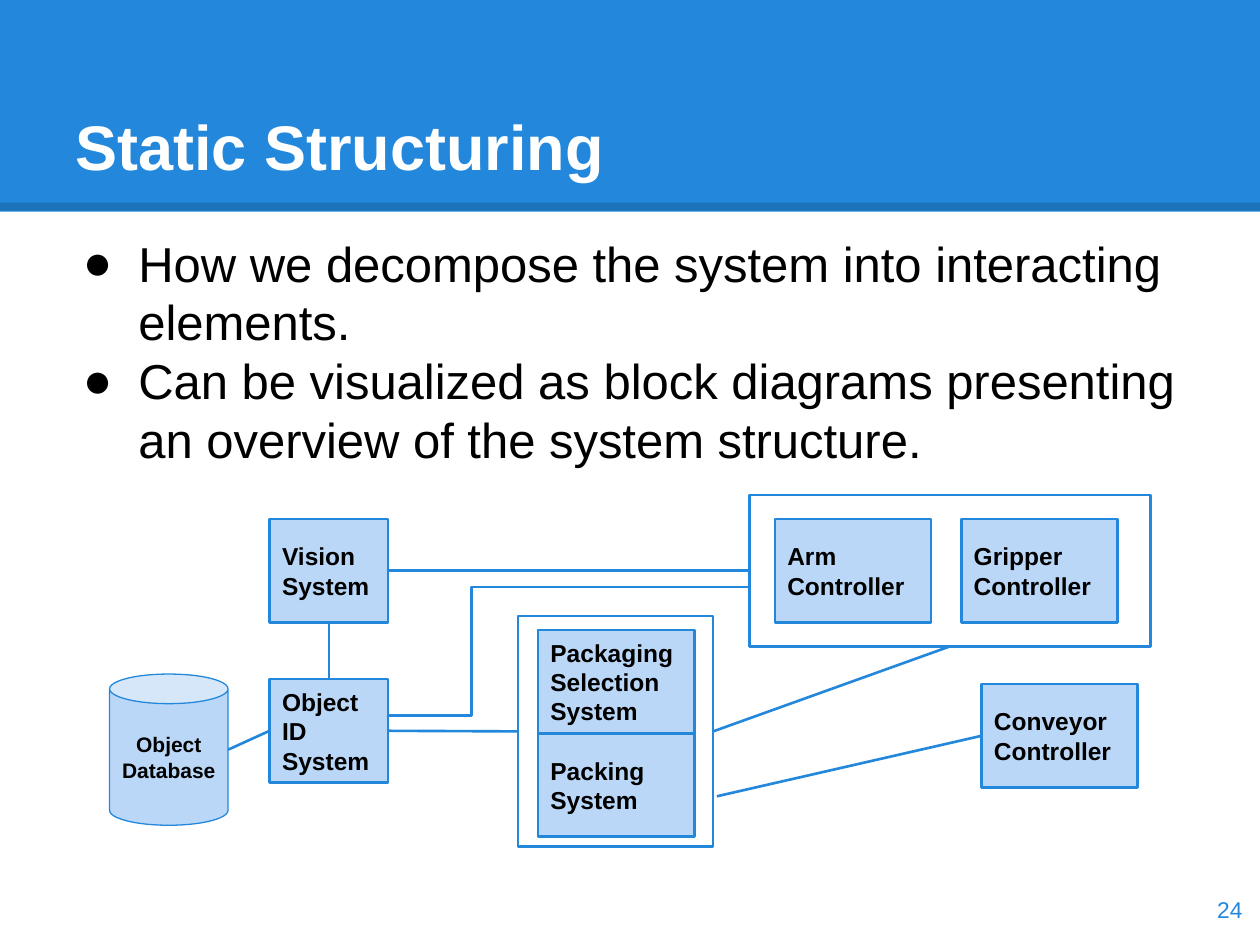
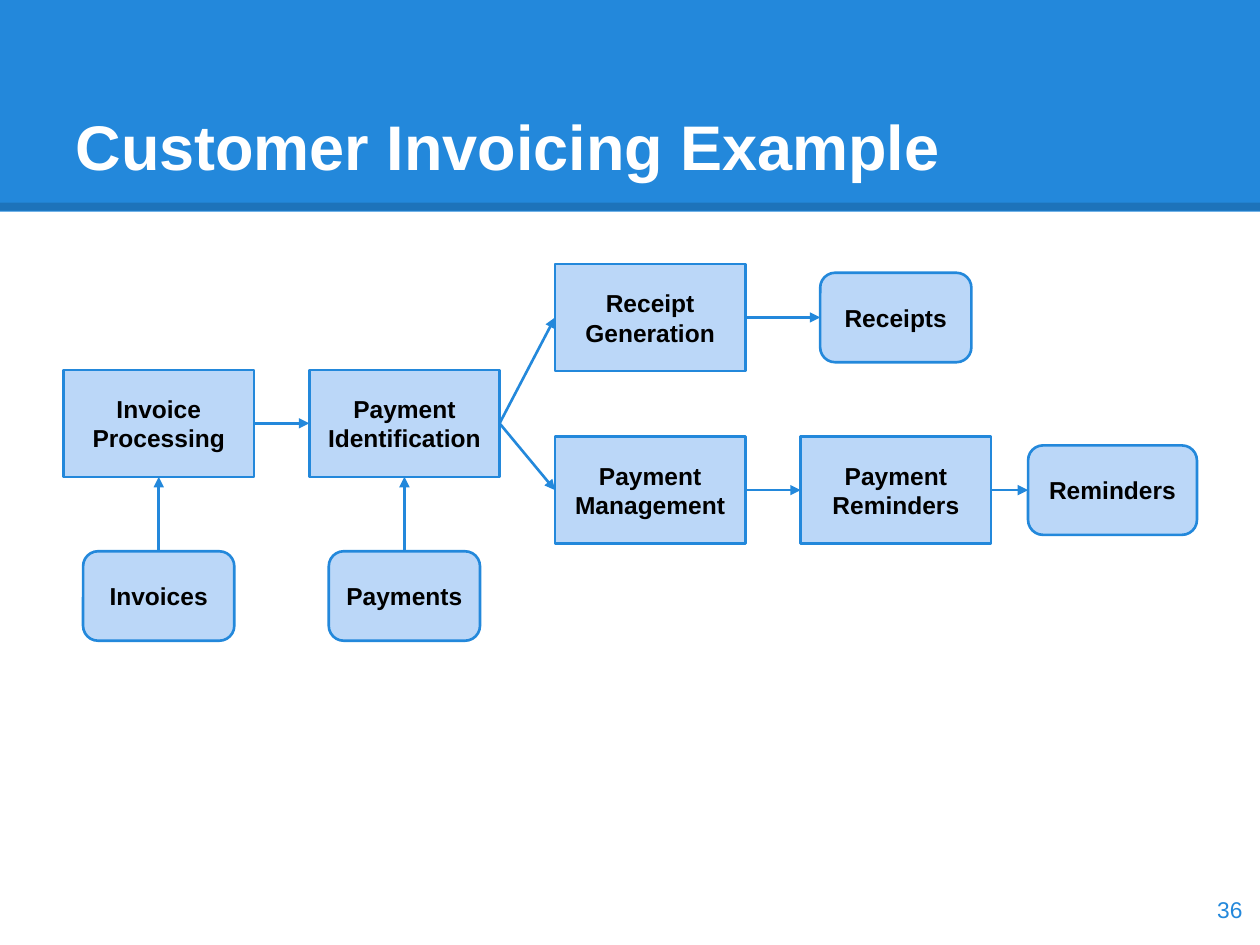
from lxml import etree
from pptx import Presentation
from pptx import util as u
from pptx.dml.color import RGBColor
from pptx.enum import shapes, text
from pptx.oxml.ns import qn

COLORS = {"blue": "2388DB", "pale": "BBD7F8", "black": "000000", "white": "FFFFFF"}
FONT = "Arial"
COLUMNS, ROWS = 10, 7.5
TOP, LEFT, BOTTOM, RIGHT = range(4)
KIND = shapes.MSO_SHAPE
ALIGN = text.PP_ALIGN
ANCHOR = text.MSO_ANCHOR


def rgb(name):
    return RGBColor.from_string(COLORS[name])


def add_xml(parent, tag, **attributes):
    return etree.SubElement(parent, qn(tag), attributes)


def write(box, *lines, size=14, color="black", bold=False, align=ALIGN.LEFT,
          anchor=ANCHOR.MIDDLE, bullet=None):
    """Fill a box with one paragraph per line of text."""
    frame = box.text_frame
    frame.word_wrap = True
    frame.auto_size = text.MSO_AUTO_SIZE.NONE
    frame.vertical_anchor = anchor
    frame.margin_left = frame.margin_right = u.Inches(0.1)
    frame.margin_top = frame.margin_bottom = u.Inches(0.1)
    for index, line in enumerate(lines):
        para = frame.add_paragraph() if index else frame.paragraphs[0]
        para.alignment = align
        if bullet:
            layout = para._p.get_or_add_pPr()
            layout.set("marL", str(u.Inches(0.5)))
            layout.set("indent", str(u.Inches(-0.44)))
            add_xml(layout, "a:buFont", typeface=FONT)
            add_xml(layout, "a:buChar", char=bullet)
        span = para.add_run()
        span.text = line
        font = span.font
        font.name, font.size, font.bold = FONT, u.Pt(size), bold
        font.color.rgb = rgb(color)


class Painter:
    """Holds the deck, its style and the current slide."""

    def __init__(self):
        self.deck = Presentation()
        self.deck.slide_width, self.deck.slide_height = u.Inches(10), u.Inches(7.5)
        self.layout = self.deck.slide_layouts[5]
        self.page = None

    def x(self, columns):
        return round(self.deck.slide_width * columns / COLUMNS)

    def y(self, rows):
        return round(self.deck.slide_height * rows / ROWS)

    def area(self, left, top, width, height):
        return self.x(left), self.y(top), self.x(width), self.y(height)

    def start(self, title, number):
        first = self.page is None
        self.page = self.deck.slides.add_slide(self.layout)
        if first:
            self.header()
        box = self.page.shapes.title
        box.left, box.top, box.width, box.height = self.area(0.5, 0.3, 9, 1.25)
        write(box, title, size=36, color="white", bold=True, anchor=ANCHOR.BOTTOM)
        self.note((9.36, 6.93, 0.6, 0.57), str(number), size=13, color="blue",
                  align=ALIGN.RIGHT)

    def header(self):
        """Draw the band and its shaded edge, and hand them to the layout."""
        band = self.box((0, 0, COLUMNS, 1.68), fill="blue", line=None)
        edge = self.link((0, 1.64), (COLUMNS, 1.64), color="black", width=4.5)
        shade = edge.element.find(".//" + qn("a:srgbClr"))
        add_xml(shade, "a:alpha", val="15000")
        for index, part in enumerate((band, edge)):
            part.element.find(".//" + qn("p:cNvPr")).set("id", str(101 + index))
            self.layout.shapes.element.insert(2 + index, part.element)

    def note(self, area, *lines, **style):
        box = self.page.shapes.add_textbox(*self.area(*area))
        write(box, *lines, **style)

    def box(self, area, label=None, kind=KIND.RECTANGLE, fill="pale", line="blue",
            width=1.5, **style):
        box = self.page.shapes.add_shape(kind, *self.area(*area))
        box.shadow.inherit = False
        if fill:
            box.fill.solid()
            box.fill.fore_color.rgb = rgb(fill)
        else:
            box.fill.background()
        if line:
            box.line.color.rgb = rgb(line)
            box.line.width = u.Pt(width)
        else:
            box.line.fill.background()
        if label:
            write(box, label, bold=True, **style)
        return box

    def link(self, start, end, color="blue", width=1.5, arrow=False, bend=None):
        """Join two ends, each a (shape, side) pair or a (column, row) point."""
        kind = shapes.MSO_CONNECTOR.STRAIGHT if bend is None else shapes.MSO_CONNECTOR.ELBOW
        points = [(0, 0) if hasattr(place, "shape_id") else (self.x(place), self.y(side))
                  for place, side in (start, end)]
        line = self.page.shapes.add_connector(kind, *points[0], *points[1])
        for (place, side), join in ((start, line.begin_connect), (end, line.end_connect)):
            if hasattr(place, "shape_id"):
                join(place, side)
        line.line.color.rgb = rgb(color)
        line.line.width = u.Pt(width)
        if arrow:
            add_xml(line.line._get_or_add_ln(), "a:tailEnd", type="triangle")
        if bend is not None:
            guides = line.element.find(".//" + qn("a:avLst"))
            add_xml(guides, "a:gd", name="adj1", fmla=f"val {round(bend * 100000)}")
        add_xml(line.element.spPr, "a:effectLst")
        return line


def static_structuring(paint):
    paint.start("Static Structuring", 24)
    paint.note((0.5, 1.75, 9, 1.98),
               "How we decompose the system into interacting elements.",
               "Can be visualized as block diagrams presenting an overview of the "
               "system structure.",
               size=28, anchor=ANCHOR.TOP, bullet="●")

    # Frames around the subsystems
    controllers = paint.box((5.95, 3.93, 3.18, 1.2), fill=None)
    packaging = paint.box((4.11, 4.89, 1.55, 1.83), fill=None)

    # Blocks: narrow ones on the left, wide ones elsewhere
    narrow, wide, height = 0.94, 1.24, 0.82
    blocks = {
        label: paint.box((left, top, width, height), label)
        for label, left, top, width in (
            ("Vision System", 2.14, 4.12, narrow),
            ("Object ID System", 2.14, 5.39, narrow),
            ("Arm Controller", 6.15, 4.12, wide),
            ("Gripper Controller", 7.63, 4.12, wide),
            ("Packaging Selection System", 4.27, 5, wide),
            ("Packing System", 4.27, 5 + height, wide),
            ("Conveyor Controller", 7.79, 5.43, wide))}
    paint.box((0.87, 5.35, narrow, 1.2), "Object Database", kind=KIND.CAN,
              width=0.75, size=12, align=ALIGN.CENTER)

    # Links
    vision, identity = blocks["Vision System"], blocks["Object ID System"]
    for start, end in (
            ((vision, BOTTOM), (identity, TOP)),
            ((vision, RIGHT), (controllers, LEFT)),
            ((identity, RIGHT), (packaging, LEFT)),
            ((controllers, BOTTOM), (packaging, RIGHT)),
            ((5.69, 6.32), (blocks["Conveyor Controller"], LEFT)),
            ((1.81, 5.95), (identity, LEFT))):
        paint.link(start, end)
    paint.link((3.09, 5.68), (5.94, 4.66), bend=0.228)


def customer_invoicing(paint):
    paint.start("Customer Invoicing Example", 36)

    # Centres of the columns and rows
    columns = [1.26 + 1.95 * index for index in range(4)] + [8.83]
    upper, middle, lower, inputs = 2.52, 3.36, 3.89, 4.73

    def place(label, column, row, width, height, **style):
        area = columns[column] - width / 2, row - height / 2, width, height
        return paint.box(area, label, align=ALIGN.CENTER, **style)

    def process(label, column, row):
        return place(label, column, row, 1.51, 0.85)

    def document(label, column, row, width=1.2):
        return place(label, column, row, width, 0.71, kind=KIND.ROUNDED_RECTANGLE)

    # Processes and documents
    processing = process("Invoice Processing", 0, middle)
    identification = process("Payment Identification", 1, middle)
    generation = process("Receipt Generation", 2, upper)
    management = process("Payment Management", 2, lower)
    reminding = process("Payment Reminders", 3, lower)
    invoices = document("Invoices", 0, inputs)
    payments = document("Payments", 1, inputs)
    receipts = document("Receipts", 3, upper)
    reminders = document("Reminders", 4, lower, width=1.34)

    # Flow
    for source, target in ((invoices, processing), (payments, identification)):
        paint.link((source, TOP), (target, BOTTOM), arrow=True)
    for source, target in (
            (processing, identification), (identification, generation),
            (identification, management), (generation, receipts),
            (management, reminding), (reminding, reminders)):
        paint.link((source, RIGHT), (target, LEFT), arrow=True)


def main():
    paint = Painter()
    static_structuring(paint)
    customer_invoicing(paint)
    paint.deck.save("out.pptx")


if __name__ == "__main__":
    main()
